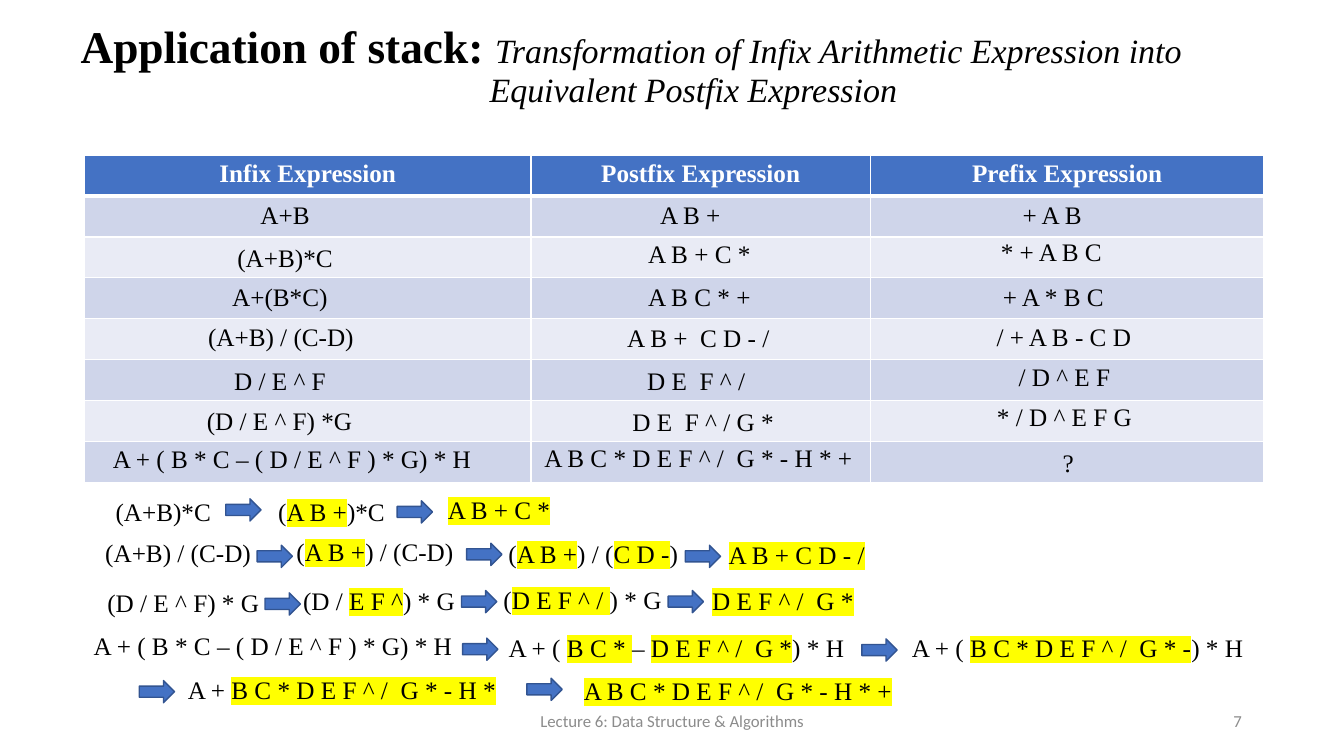
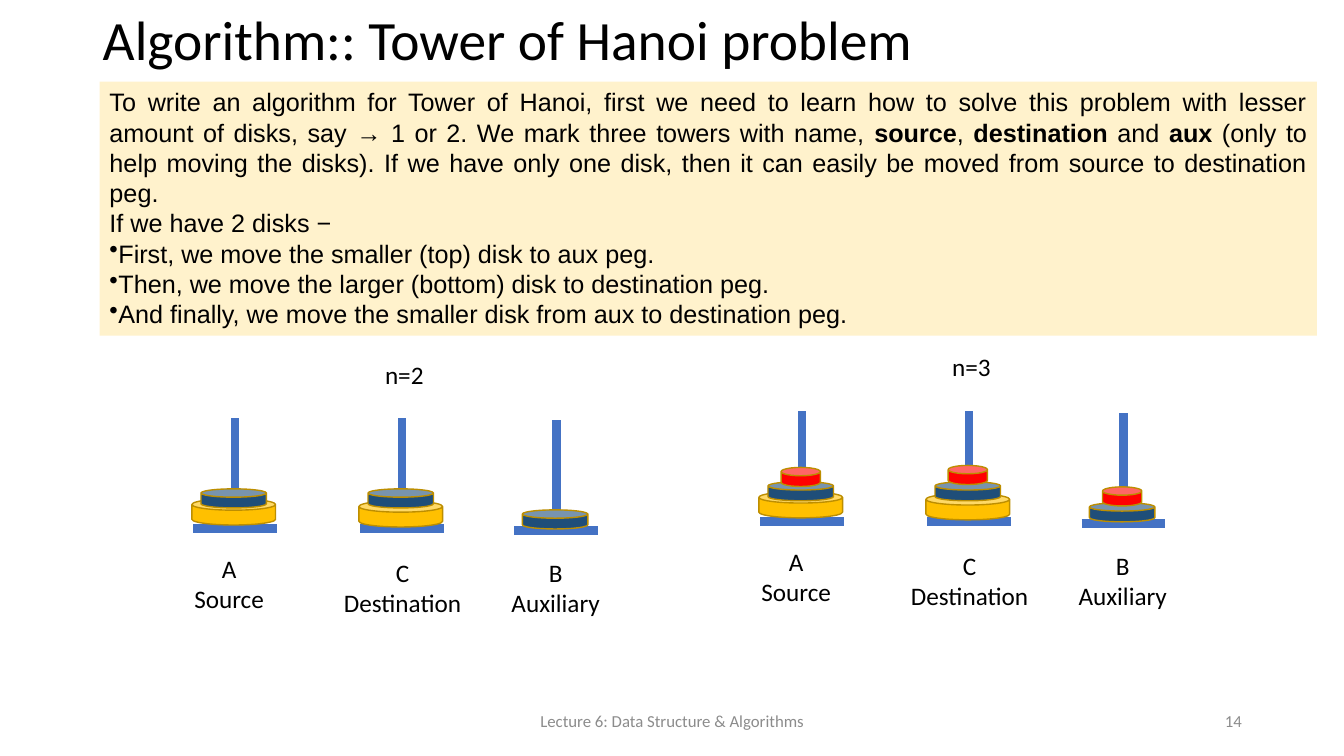
from dataclasses import dataclass
from typing import NamedTuple

from lxml import etree
from pptx import Presentation
from pptx import util as u
from pptx.dml import color
from pptx.enum import shapes, text
from pptx.oxml import ns

COLOURS = {
    "black": "000000", "white": "FFFFFF", "grey": "8C8C8C", "blue": "4472C4",
    "blue_edge": "325491", "band_dark": "CFD5EA", "band_light": "E9EBF5",
    "marker": "FFFF00", "cream": "FFF2CC", "gold": "FFC000", "gold_edge": "BD8E00",
    "navy": "1F4E79", "red": "FF0000",
}
FOOTER = "Lecture 6: Data Structure & Algorithms"
LINE_HEIGHT = 1.02
ALIGN = text.PP_ALIGN


@dataclass(frozen=True)
class Style:
    font: str = "Calibri"
    size: float = 18
    colour: str = "black"
    bold: bool = False
    italic: bool = False
    align: ALIGN = ALIGN.CENTER
    emphasis: str = ""


class Box(NamedTuple):
    left: float
    top: float
    width: float
    height: float


class Expression(NamedTuple):
    left: float
    top: float
    width: float
    content: str


class Disk(NamedTuple):
    width: float
    height: float
    colour: str


class Tower(NamedTuple):
    pole: float
    top: float
    label: Box
    names: list[str]
    disks: list[tuple[Disk, float]]


LABEL = Style()
SERIF = Style(font="Times New Roman", emphasis="marker")
HEADER = Style(font="Times New Roman", colour="white", bold=True)
TITLE = Style(size=39.6, align=ALIGN.LEFT)
TOPIC = Style("Times New Roman", 32.4, bold=True, align=ALIGN.LEFT)
SUBTITLE = Style("Times New Roman", 24.3, italic=True, align=ALIGN.LEFT)
BODY = Style(font="Arial", align=ALIGN.JUSTIFY, emphasis="bold")
BULLET = Style(font="Arial", align=ALIGN.LEFT)
FOOTER_STYLE = Style(size=12, colour="grey")
NUMBER_STYLE = Style(size=12, colour="grey", align=ALIGN.RIGHT)

HEADINGS = ["Infix Expression", "Postfix Expression", "Prefix Expression"]
COLUMN_WIDTHS = [11.25, 8.56, 9.91]
ROW_COUNT, ROW_HEIGHT = 8, 1.03
TABLE_EXPRESSIONS = [
    Expression(5.18, 4.9, 4.01, "A+B"),
    Expression(15.39, 4.9, 4.01, "A B +"),
    Expression(24.51, 4.9, 4.01, "+ A B"),
    Expression(5.18, 5.99, 4.01, "(A+B)*C"),
    Expression(15.62, 5.87, 4.01, "A B + C *"),
    Expression(24.49, 5.84, 4.01, "* + A B C"),
    Expression(5.05, 6.96, 4.01, "A+(B*C)"),
    Expression(15.62, 6.96, 4.01, "A B C * +"),
    Expression(24.54, 6.96, 4.01, "+ A * B C"),
    Expression(4.72, 7.98, 4.72, "(A+B) / (C-D)"),
    Expression(15.24, 8, 4.72, "A B +  C D - /"),
    Expression(24.13, 7.98, 5.36, "/ + A B - C D"),
    Expression(5.05, 9.07, 4.01, "D / E ^ F"),
    Expression(15.54, 9.07, 4.01, "D E  F ^ /"),
    Expression(24.82, 8.99, 4.01, "/ D ^ E F"),
    Expression(4.11, 10.08, 5.87, "(D / E ^ F) *G"),
    Expression(13.54, 10.11, 8.36, "D E  F ^ / G *"),
    Expression(23.65, 9.98, 6.35, "* / D ^ E F G"),
    Expression(2.51, 11.05, 9.7, "A + ( B * C – ( D / E ^ F ) * G) * H"),
    Expression(13.41, 11.02, 8.38, "A B C * D E F ^ /  G * - H * +"),
    Expression(26.52, 11.15, 0.8, "?"),
]
DERIVATION_STEPS = [
    Expression(2.11, 12.37, 4.01, "(A+B)*C"),
    Expression(6.35, 12.37, 4.01, "(|A B +|)*C"),
    Expression(10.57, 12.34, 4.01, "|A B + C *|"),
    Expression(2.13, 13.41, 4.72, "(A+B) / (C-D)"),
    Expression(7.09, 13.39, 4.72, "(|A B +|) / (C-D)"),
    Expression(12.32, 13.44, 5.26, "(|A B +|) / (|C D -|)"),
    Expression(17.45, 13.46, 5.26, "|A B + C D - /|"),
    Expression(2.26, 14.68, 4.72, "(D / E ^ F) * G"),
    Expression(7.19, 14.63, 4.72, "(D / |E F ^|) * G"),
    Expression(12.32, 14.6, 4.72, "(|D E F ^ / |) * G"),
    Expression(17.37, 14.63, 4.72, "|D E F ^ /  G *|"),
    Expression(2.03, 15.77, 9.7, "A + ( B * C – ( D / E ^ F ) * G) * H"),
    Expression(12.37, 15.8, 9.35, "A + ( |B C * |– |D E F ^ /  G *|) * H"),
    Expression(22.48, 15.82, 9.35, "A + ( |B C * D E F ^ /  G * -|) * H"),
    Expression(3.94, 16.87, 9.35, "A + |B C * D E F ^ /  G * - H *|"),
    Expression(13.92, 16.89, 9.35, "|A B C * D E F ^ /  G * - H * +|"),
]
ARROWS = [
    (5.69, 12.57), (10.01, 12.62),
    (6.48, 13.74), (11.76, 13.69), (17.27, 13.74),
    (6.68, 14.94), (11.63, 14.88), (16.84, 14.88),
    (11.66, 16.08), (21.72, 16.1), (3.51, 17.15), (13.28, 17.09),
]

HANOI_TEXT = [
    "To write an algorithm for Tower of Hanoi, first we need to learn how to solve this "
    "problem with lesser amount of disks, say → 1 or 2. We mark three towers with name, "
    "|source|, |destination| and |aux| (only to help moving the disks). If we have only "
    "one disk, then it can easily be moved from source to destination peg.",
    "If we have 2 disks −",
]
HANOI_MOVES = [
    "First, we move the smaller (top) disk to aux peg.",
    "Then, we move the larger (bottom) disk to destination peg.",
    "And finally, we move the smaller disk from aux to destination peg.",
]
LARGE = Disk(2.11, 0.66, "gold")
MEDIUM = Disk(1.65, 0.48, "navy")
SMALL = Disk(0.99, 0.48, "red")
POLE_LENGTH, BASE_WIDTH = 2.78, 2.11
TOWERS = [
    Tower(5.92, 10.54, Box(4.39, 13.82, 2.77, 1.8), ["A", "Source"],
          [(LARGE, 2.03), (MEDIUM, 1.78), (SMALL, 1.42)]),
    Tower(10.13, 10.54, Box(8.38, 13.92, 3.53, 1.8), ["C", "Destination"],
          [(LARGE, 2.08), (MEDIUM, 1.78), (SMALL, 1.37)]),
    Tower(14.02, 10.59, Box(12.62, 13.92, 2.77, 1.8), ["B", "Auxiliary"],
          [(MEDIUM, 2.26), (SMALL, 1.86)]),
]


def rgb(name: str) -> color.RGBColor:
    return color.RGBColor.from_string(COLOURS[name])


def add_solid(parent, tag: str, colour: str) -> None:
    holder = etree.SubElement(parent, ns.qn(tag))
    etree.SubElement(holder, ns.qn("a:srgbClr"), val=COLOURS[colour])


def write(paragraph, content: str, style: Style) -> None:
    paragraph.alignment = style.align
    for index, part in enumerate(content.split("|")):
        if not part:
            continue
        emphasised = index % 2 == 1
        run = paragraph.add_run()
        run.text = part
        run.font.size = u.Pt(style.size)
        run.font.bold = style.bold or (emphasised and style.emphasis == "bold")
        run.font.italic = style.italic
        run.font.color.rgb = rgb(style.colour)
        if emphasised and style.emphasis == "marker":
            add_solid(run.font._element, "a:highlight", "marker")
        run.font.name = style.font


def write_lines(frame, lines: list[str], style: Style) -> None:
    for index, line in enumerate(lines):
        write(frame.add_paragraph() if index else frame.paragraphs[0], line, style)


def add_text(slide, box: Box, lines: list[str], style: Style, middle: bool = False):
    frame = slide.shapes.add_textbox(*map(u.Cm, box)).text_frame
    frame.word_wrap = True
    if middle:
        frame.vertical_anchor = text.MSO_ANCHOR.MIDDLE
    write_lines(frame, lines, style)
    return frame


def add_block(slide, kind, box: Box, fill: str, edge: str = ""):
    shape = slide.shapes.add_shape(kind, *map(u.Cm, box))
    shape.shadow.inherit = False
    shape.fill.solid()
    shape.fill.fore_color.rgb = rgb(fill)
    if edge:
        shape.line.color.rgb = rgb(edge)
        shape.line.width = u.Pt(1)
    else:
        shape.line.fill.background()
    return shape


def add_line(group, *ends: float) -> None:
    line = group.shapes.add_connector(shapes.MSO_CONNECTOR.STRAIGHT, *map(u.Cm, ends))
    line.line.color.rgb = rgb("blue")
    line.line.width = u.Pt(6)
    etree.SubElement(line._element.spPr, ns.qn("a:effectLst"))


def add_slide(presentation, number: int):
    slide = presentation.slides.add_slide(presentation.slide_layouts[6])
    add_text(slide, Box(11.23, 17.65, 11.43, LINE_HEIGHT), [FOOTER], FOOTER_STYLE, True)
    add_text(slide, Box(23.93, 17.65, 7.62, LINE_HEIGHT), [str(number)], NUMBER_STYLE, True)
    return slide


def add_title(slide, box: Box, content: str, style: Style):
    frame = add_text(slide, box, [content], style, True)
    frame.paragraphs[0].line_spacing = 0.9
    return frame


def indent(paragraph, distance: float) -> None:
    paragraph._p.get_or_add_pPr().set("marL", str(u.Cm(distance)))


def format_cell(cell, row: int) -> None:
    properties = cell._tc.get_or_add_tcPr()
    thick = {(0, "a:lnB"), (1, "a:lnT")}
    for side in ("a:lnL", "a:lnR", "a:lnT", "a:lnB"):
        width = u.Pt(3 if (row, side) in thick else 1)
        border = etree.SubElement(properties, ns.qn(side), w=str(width))
        add_solid(border, "a:solidFill", "white")
    cell.fill.solid()
    cell.fill.fore_color.rgb = rgb(
        "blue" if row == 0 else "band_dark" if row % 2 else "band_light")


def add_expression_table(slide) -> None:
    box = Box(2.13, 3.91, sum(COLUMN_WIDTHS), ROW_COUNT * ROW_HEIGHT)
    table = slide.shapes.add_table(
        ROW_COUNT, len(HEADINGS), *map(u.Cm, box)).table
    for column, width in zip(table.columns, COLUMN_WIDTHS):
        column.width = u.Cm(width)
    for index, row in enumerate(table.rows):
        row.height = u.Cm(ROW_HEIGHT)
        for cell in row.cells:
            format_cell(cell, index)
    for cell, heading in zip(table.rows[0].cells, HEADINGS):
        write(cell.text_frame.paragraphs[0], heading, HEADER)


def build_expressions(presentation) -> None:
    slide = add_slide(presentation, 7)
    frame = add_title(slide, Box(1.42, 0.38, 29.21, 2.62), "Application of stack: ", TOPIC)
    first = frame.paragraphs[0]
    write(first, "Transformation of Infix Arithmetic Expression into", SUBTITLE)
    indent(first, 0.36)
    second = frame.add_paragraph()
    write(second, "Equivalent Postfix Expression", SUBTITLE)
    second.line_spacing = 0.9
    indent(second, 10.67)
    add_expression_table(slide)
    for left, top, width, content in TABLE_EXPRESSIONS + DERIVATION_STEPS:
        add_text(slide, Box(left, top, width, LINE_HEIGHT), [content], SERIF)
    for left, top in ARROWS:
        add_block(slide, shapes.MSO_SHAPE.RIGHT_ARROW, Box(left, top, 0.89, 0.56),
                  "blue", "blue_edge")


def add_tower(slide, tower: Tower, right: float, down: float, disks: list[Disk]) -> None:
    pole, top = tower.pole + right, tower.top + down
    foot = top + POLE_LENGTH
    group = slide.shapes.add_group_shape()
    add_line(group, pole, top, pole, foot)
    add_line(group, pole - BASE_WIDTH / 2, foot, pole + BASE_WIDTH / 2, foot)
    for disk, drop in tower.disks:
        if disk in disks:
            box = Box(pole - disk.width / 2 - 0.03, top + drop, disk.width, disk.height)
            can = add_block(slide, shapes.MSO_SHAPE.CAN, box, disk.colour, "gold_edge")
            can.adjustments[0] = 0.436
    label = tower.label._replace(left=tower.label.left + right, top=tower.label.top + down)
    add_text(slide, label, tower.names, LABEL)


def build_hanoi(presentation) -> None:
    slide = add_slide(presentation, 14)
    add_title(slide, Box(2.34, 0.38, 29.21, 1.4), "Algorithm:: Tower of Hanoi problem", TITLE)
    panel = add_block(slide, shapes.MSO_SHAPE.RECTANGLE, Box(2.51, 2.06, 30.68, 6.4), "cream")
    frame = panel.text_frame
    frame.word_wrap = True
    frame.vertical_anchor = text.MSO_ANCHOR.TOP
    write_lines(frame, HANOI_TEXT, BODY)
    for move in HANOI_MOVES:
        paragraph = frame.add_paragraph()
        write(paragraph, move, BULLET)
        etree.SubElement(paragraph._p.get_or_add_pPr(), ns.qn("a:buChar"), char="•")
    for caption, right, down, disks in (
        ("n=2", 0, 0, [LARGE, MEDIUM]),
        ("n=3", 14.29, -0.18, [LARGE, MEDIUM, SMALL]),
    ):
        add_text(slide, Box(8.97 + right, 8.92 + down, 2.44, LINE_HEIGHT), [caption], LABEL)
        for tower in TOWERS:
            add_tower(slide, tower, right, down, disks)


def main() -> None:
    presentation = Presentation()
    presentation.slide_width = u.Cm(33.87)
    presentation.slide_height = u.Cm(19.05)
    build_expressions(presentation)
    build_hanoi(presentation)
    presentation.save("out.pptx")


if __name__ == "__main__":
    main()
